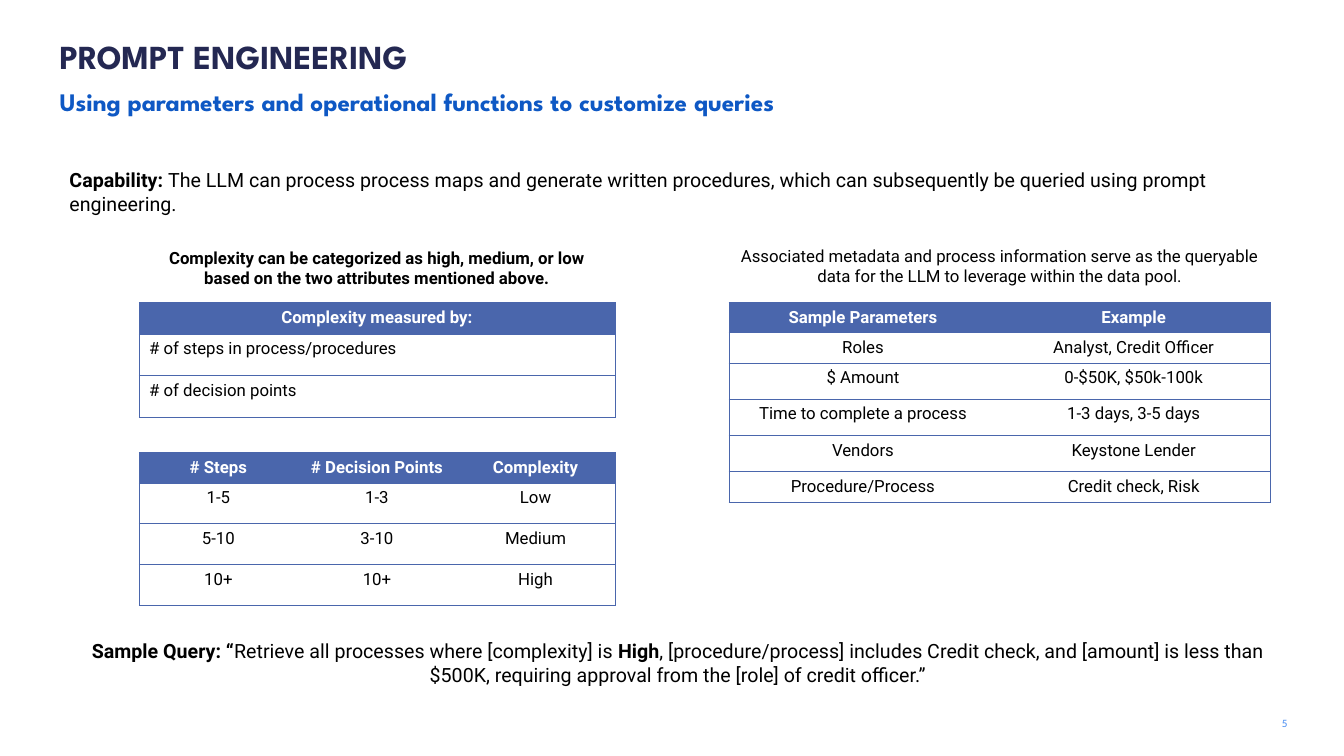
import pptx
import pptx.dml.color
import pptx.enum.text
import pptx.oxml
import pptx.oxml.ns
import pptx.util

INCH = 914400
SLIDE_W, SLIDE_H = 13.33, 7.5
COL, ROW = SLIDE_W / 100, SLIDE_H / 100  # grid of 100 columns by 100 rows

NAVY, BLUE, SKY = "242852", "0E58C4", "4A8EF2"
TABLE_BLUE, WHITE, BLACK = "4A66AC", "FFFFFF", "000000"
HEADING_FONT, BODY_FONT, NUMBER_FONT = "League Spartan", "Roboto", "Calibri"

ALIGN = pptx.enum.text.PP_ALIGN
ANCHOR = pptx.enum.text.MSO_ANCHOR


def cols(count):
    return pptx.util.Emu(round(count * COL * INCH))


def rows(count):
    return pptx.util.Emu(round(count * ROW * INCH))


def color(hex_string):
    return pptx.dml.color.RGBColor.from_string(hex_string)


def write(frame, text, size=12, font=BODY_FONT, ink=BLACK, bold=False,
          align=ALIGN.LEFT, spacing=None):
    """Fill a frame with text, or with a list of (text, bold) pieces."""
    paragraph = frame.paragraphs[0]
    paragraph.alignment = align
    if spacing:
        paragraph.line_spacing = spacing
    pieces = [(text, bold)] if isinstance(text, str) else text
    for words, is_bold in pieces:
        run = paragraph.add_run()
        run.text = words
        run.font.size = pptx.util.Pt(size)
        run.font.name = font
        run.font.bold = is_bold
        run.font.color.rgb = color(ink)


def text_area(slide, box, text, inset=True, anchor=ANCHOR.TOP, **text_format):
    left, top, width, height = box
    area = slide.shapes.add_textbox(cols(left), rows(top), cols(width), rows(height))
    frame = area.text_frame
    frame.word_wrap = True
    frame.vertical_anchor = anchor
    if not inset:
        frame.margin_left = frame.margin_right = 0
        frame.margin_top = frame.margin_bottom = 0
    write(frame, text, **text_format)


def set_borders(cell, sides):
    """Draw the named sides (of L, R, T, B) and hide the others."""
    properties = cell._tc.get_or_add_tcPr()
    for index, side in enumerate("LRTB"):
        paint = (f'<a:solidFill><a:srgbClr val="{TABLE_BLUE}"/></a:solidFill>'
                 if side in sides else "<a:noFill/>")
        border = pptx.oxml.parse_xml(
            f'<a:ln{side} {pptx.oxml.ns.nsdecls("a")} w="6350">{paint}</a:ln{side}>')
        properties.insert(index, border)


def ruled_table(slide, box, widths, heights, content, body_align=ALIGN.CENTER):
    """Table with a filled header, row rules and an outer frame."""
    left, top, width = box
    table = slide.shapes.add_table(
        len(content), len(widths), cols(left), rows(top),
        cols(width), rows(sum(heights))).table
    table.horz_banding = False
    for column, share in zip(table.columns, widths):
        column.width = cols(width * share)
    for line, height in zip(table.rows, heights):
        line.height = rows(height)
    for r, record in enumerate(content):
        header = r == 0
        for c, words in enumerate(record):
            cell = table.cell(r, c)
            if header:
                cell.fill.solid()
                cell.fill.fore_color.rgb = color(TABLE_BLUE)
            else:
                cell.fill.background()
            left_side = "L" if c == 0 else ""
            right_side = "R" if c == len(widths) - 1 else ""
            set_borders(cell, "TB" + left_side + right_side)
            write(cell.text_frame, words, bold=header,
                  ink=WHITE if header else BLACK,
                  align=ALIGN.CENTER if header else body_align)


def heading(slide, left, top, width):
    text_area(slide, (left, top, width, 4.8), "PROMPT ENGINEERING", inset=False,
              size=24, font=HEADING_FONT, ink=NAVY, bold=True, spacing=0.9)
    text_area(slide, (left, top + 6.53, width, 7.33),
              "Using parameters and operational functions to customize queries",
              inset=False, size=18, font=HEADING_FONT, ink=BLUE, bold=True, spacing=0.9)


def complexity_panel(slide, left, top, width):
    text_area(slide, (left, top, width, 6.67),
              "Complexity can be categorized as high, medium, or low "
              "based on the two attributes mentioned above.",
              bold=True, align=ALIGN.CENTER)
    ruled_table(slide, (left, top + 7.87, width), [1], [4.2, 5.5, 5.5],
                [["Complexity measured by:"],
                 ["# of steps in process/procedures"],
                 ["# of decision points"]], body_align=ALIGN.LEFT)
    ruled_table(slide, (left, top + 27.74, width), [1 / 3] * 3, [4] + [5.4] * 3,
                [["# Steps", "# Decision Points", "Complexity"],
                 ["1-5", "1-3", "Low"],
                 ["5-10", "3-10", "Medium"],
                 ["10+", "10+", "High"]])


def parameters_panel(slide, left, top, width):
    text_area(slide, (left, top, width, 6.67),
              "Associated metadata and process information serve as the queryable "
              "data for the LLM to leverage within the data pool.",
              align=ALIGN.CENTER)
    ruled_table(slide, (left, top + 8.13, width), [0.495, 0.505],
                [4, 4, 4.8, 4.8, 4.8, 4],
                [["Sample Parameters", "Example"],
                 ["Roles", "Analyst, Credit Officer"],
                 ["$ Amount", "0-$50K, $50k-100k"],
                 ["Time to complete a process", "1-3 days, 3-5 days"],
                 ["Vendors", "Keystone Lender"],
                 ["Procedure/Process", "Credit check, Risk"]])


def main():
    deck = pptx.Presentation()
    deck.slide_width, deck.slide_height = cols(100), rows(100)
    slide = deck.slides.add_slide(deck.slide_layouts[6])

    # Heading and capability statement
    heading(slide, 4.43, 5.33, 91.07)
    text_area(slide, (4.43, 21.6, 92.05, 4.53),
              [("Capability: ", True),
               ("The LLM can process process maps and generate written procedures, "
                "which can subsequently be queried using prompt engineering.", False)],
              size=14)

    # Two panels of tables
    complexity_panel(slide, 10.35, 32.13, 35.4)
    parameters_panel(slide, 54.24, 31.87, 40.29)

    # Sample query and page number
    text_area(slide, (5.4, 83.87, 90.1, 7.6),
              [("Sample Query: “", True),
               ("Retrieve all processes where [complexity] is ", False),
               ("High", True),
               (", [procedure/process] includes Credit check, and [amount] is less than "
                "$500K, requiring approval from the [role] of credit officer.”", False)],
              size=14, align=ALIGN.CENTER)
    text_area(slide, (93.32, 93.73, 2.48, 3.87), "5", inset=False, anchor=ANCHOR.MIDDLE,
              size=8, font=NUMBER_FONT, ink=SKY, align=ALIGN.RIGHT)

    deck.save("out.pptx")


if __name__ == "__main__":
    main()
